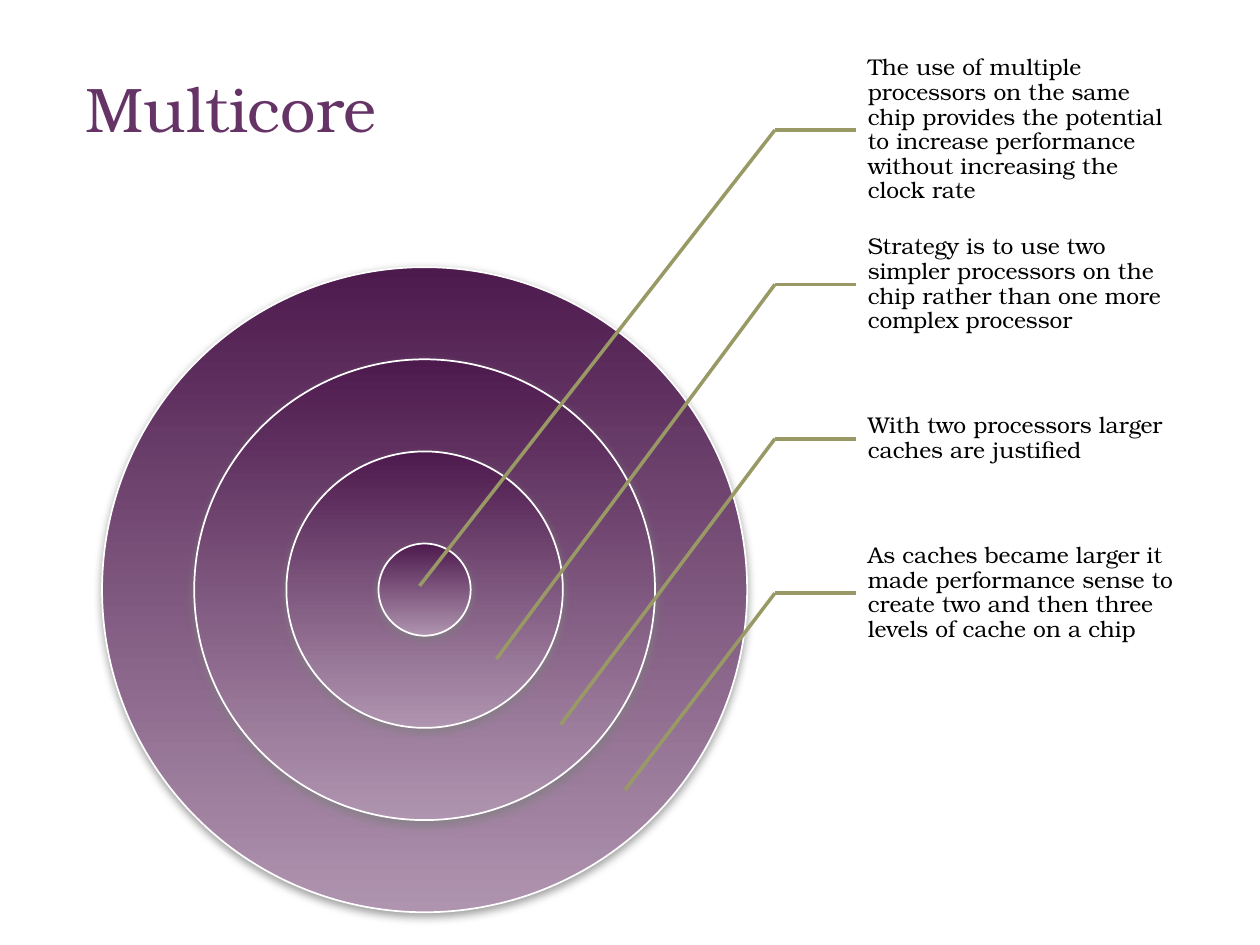
"""Builds the Multicore slide: nested rings with four called-out notes."""
from dataclasses import dataclass

from lxml import etree
from pptx import Presentation, util as u
from pptx.dml.color import RGBColor
from pptx.enum import shapes, text
from pptx.oxml import parse_xml
from pptx.oxml.ns import qn

WIDE, HIGH = 10, 7.5
FONT = "TeX Gyre Bonum"
MID_X, MID_Y = 3.37, 4.68
RINGS = 4
CORE = 5.12 / (2 * RINGS - 1)
TOP, ROW = 0.42, 4.9 / 4
BEND, EDGE = 6.15, 6.79
SHADOW = (
    '<a:effectLst xmlns:a="http://schemas.openxmlformats.org/drawingml/2006/main">'
    '<a:outerShdw blurRad="63500" dist="25400" dir="5400000" rotWithShape="0">'
    '<a:srgbClr val="808080"><a:alpha val="75000"/></a:srgbClr>'
    '</a:outerShdw></a:effectLst>'
)


@dataclass
class Note:
    words: str
    tip_x: float
    tip_y: float


NOTES = [
    Note("The use of multiple processors on the same chip provides the potential "
         "to increase performance without increasing the clock rate", 3.33, 4.65),
    Note("Strategy is to use two simpler processors on the chip rather than "
         "one more complex processor", 3.94, 5.23),
    Note("With two processors larger caches are justified", 4.45, 5.75),
    Note("As caches became larger it made performance sense to create two and "
         "then three levels of cache on a chip", 4.96, 6.27),
]

deck = Presentation()
deck.slide_width, deck.slide_height = u.Inches(WIDE), u.Inches(HIGH)
slide = deck.slides.add_slide(deck.slide_layouts[6])


def paint(ink, code: str) -> None:
    """Give a colour format the colour of a hex string."""
    ink.rgb = RGBColor.from_string(code)


def write(words: str, box: tuple, size: float, color: str = "000000",
          anchor=text.MSO_ANCHOR.TOP, pads: tuple = (0.1, 0.05, 0.1, 0.05),
          lead: float = 1.0) -> None:
    """Place a wrapped block of text on the slide."""
    frame = slide.shapes.add_textbox(*map(u.Inches, box)).text_frame
    frame.word_wrap = True
    frame.vertical_anchor = anchor
    (frame.margin_left, frame.margin_top,
     frame.margin_right, frame.margin_bottom) = map(u.Inches, pads)
    para = frame.paragraphs[0]
    para.line_spacing = lead
    run = para.add_run()
    run.text = words
    run.font.name, run.font.size = FONT, u.Pt(size)
    paint(run.font.color, color)


def ring(size: float) -> None:
    """Draw one shaded disc around the common centre."""
    box = (MID_X - size / 2, MID_Y - size / 2, size, size)
    disc = slide.shapes.add_shape(shapes.MSO_SHAPE.OVAL, *map(u.Inches, box))
    disc.fill.gradient()
    disc.fill.gradient_angle = 270
    for stop, place, code in zip(disc.fill.gradient_stops, (0, 1),
                                 ("4D1A4D", "AF94AF")):
        stop.position = place
        paint(stop.color, code)
    paint(disc.line.color, "FFFFFF")
    disc.line.width = u.Pt(1)
    disc.element.spPr.append(parse_xml(SHADOW))


def link(*ends: float) -> None:
    """Draw a plain straight line between two points."""
    line = slide.shapes.add_connector(shapes.MSO_CONNECTOR.STRAIGHT,
                                      *map(u.Inches, ends))
    paint(line.line.color, "999966")
    line.line.width = u.Pt(2)
    etree.SubElement(line.element.spPr, qn("a:effectLst"))


def call(note: Note, row: int) -> None:
    """Draw a note with its bent leader line."""
    top = TOP + row * ROW
    mid = top + ROW / 2
    write(note.words, (EDGE, top, 2.56, ROW), 13,
          anchor=text.MSO_ANCHOR.MIDDLE, pads=(0.1, 0.02, 0.02, 0.02), lead=0.9)
    link(BEND, mid, EDGE, mid)
    link(BEND, mid, note.tip_x, note.tip_y)


for step in range(RINGS, 0, -1):
    ring((2 * step - 1) * CORE)
for row, note in enumerate(NOTES):
    call(note, row)
write("Multicore", (0.58, 0.5, 8.26, 1.22), 36, "663366")

deck.save("out.pptx")
